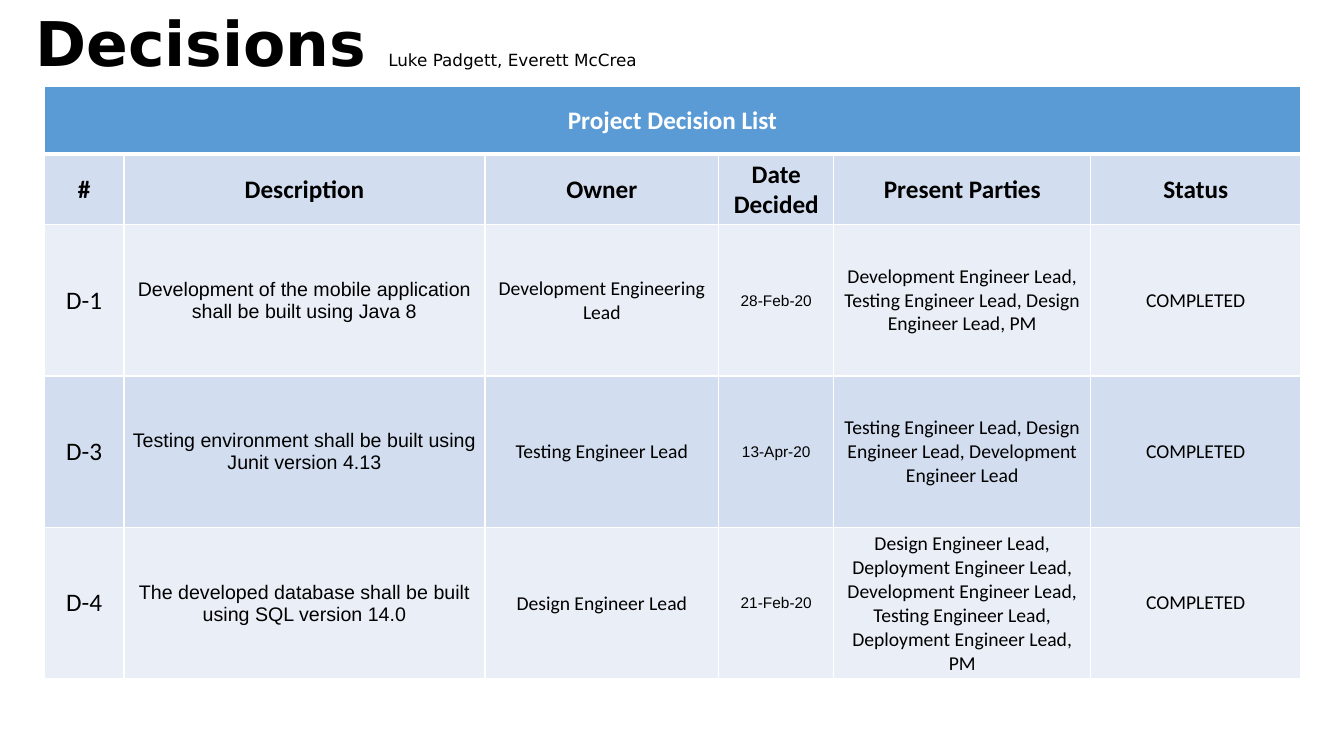
from typing import NamedTuple

from lxml.etree import SubElement
from pptx import Presentation
from pptx.dml.color import RGBColor
from pptx.enum.text import MSO_ANCHOR as Anchor, MSO_AUTO_SIZE as AutoSize, PP_ALIGN as Align
from pptx.oxml.ns import qn
from pptx.slide import Slide
from pptx.table import _Cell as Cell
from pptx.text.text import Font
from pptx.util import Inches, Pt

BLACK = RGBColor(0x00, 0x00, 0x00)
WHITE = RGBColor(0xFF, 0xFF, 0xFF)
BLUE = RGBColor(0x5B, 0x9B, 0xD5)
BAND_DARK = RGBColor(0xD2, 0xDE, 0xEF)
BAND_LIGHT = RGBColor(0xEA, 0xEF, 0xF7)


class Column(NamedTuple):
    heading: str
    width: float
    size: int
    font: str = "Calibri"
    tight: bool = False


class Decision(NamedTuple):
    number: str
    description: str
    owner: str
    date: str
    parties: str
    status: str = "COMPLETED"


COLUMNS = [
    Column("#", 0.79, 18),
    Column("Description", 3.58, 14, "Arial", tight=True),
    Column("Owner", 2.32, 14, tight=True),
    Column("Date Decided", 1.14, 11, "Arial", tight=True),
    Column("Present Parties", 2.55, 14),
    Column("Status", 2.08, 14),
]
DECISIONS = [
    Decision("D-1", "Development of the mobile application shall be built using Java 8",
             "Development Engineering Lead", "28-Feb-20",
             "Development Engineer Lead, Testing Engineer Lead, Design Engineer Lead, PM"),
    Decision("D-3", "Testing environment shall be built using Junit version 4.13",
             "Testing Engineer Lead", "13-Apr-20",
             "Testing Engineer Lead, Design Engineer Lead, Development Engineer Lead"),
    Decision("D-4", "The developed database shall be built using SQL version 14.0",
             "Design Engineer Lead", "21-Feb-20",
             "Design Engineer Lead, Deployment Engineer Lead, Development Engineer Lead, "
             "Testing Engineer Lead, Deployment Engineer Lead, PM"),
]
ROW_HEIGHTS = [0.67, 0.69] + [1.5] * len(DECISIONS)


def style_font(font: Font, name: str, size: int, color: RGBColor, bold: bool) -> None:
    font.name, font.size, font.bold = name, Pt(size), bold
    font.color.rgb = color


def add_borders(cell: Cell, top: int = 1, bottom: int = 1) -> None:
    """Draw white cell borders, with widths in points."""
    tc_pr = cell._tc.get_or_add_tcPr()
    for tag, width in (("lnL", 1), ("lnR", 1), ("lnT", top), ("lnB", bottom)):
        ln = SubElement(tc_pr, qn(f"a:{tag}"), w=str(Pt(width)))
        fill = SubElement(ln, qn("a:solidFill"))
        SubElement(fill, qn("a:srgbClr"), val=str(WHITE))


def fill_cell(cell: Cell, text: str, fill: RGBColor, size: int = 18, font: str = "Calibri",
              color: RGBColor = BLACK, bold: bool = False, tight: bool = False) -> None:
    cell.fill.solid()
    cell.fill.fore_color.rgb = fill
    cell.vertical_anchor = Anchor.MIDDLE
    if tight:
        cell.margin_left = cell.margin_right = cell.margin_top = Inches(0.01)
        cell.margin_bottom = 0
    p = cell.text_frame.paragraphs[0]
    p.text = text
    p.alignment = Align.CENTER
    for r in p.runs:
        style_font(r.font, font, size, color, bold)


def add_title(s: Slide) -> None:
    title = s.shapes.title
    title.left, title.top = Inches(0.25), Inches(0)
    title.width, title.height = Inches(11.17), Inches(0.84)
    tf = title.text_frame
    tf.word_wrap = True
    tf.auto_size = AutoSize.SHAPE_TO_FIT_TEXT
    tf.vertical_anchor = Anchor.TOP
    p = tf.paragraphs[0]
    p.alignment = Align.LEFT
    for text, size, bold in (("Decisions ", 44, True), ("Luke Padgett, Everett McCrea", 12, False)):
        r = p.add_run()
        r.text = text
        style_font(r.font, "DejaVu Sans", size, BLACK, bold)


def add_decision_table(s: Slide) -> None:
    table = s.shapes.add_table(len(ROW_HEIGHTS), len(COLUMNS), Inches(0.44), Inches(0.86),
                               Inches(12.45), Inches(5.86)).table
    for table_column, column in zip(table.columns, COLUMNS):
        table_column.width = Inches(column.width)
    for i, (row, height) in enumerate(zip(table.rows, ROW_HEIGHTS)):
        row.height = Inches(height)
        for cell in row.cells:
            add_borders(cell, top=3 if i == 1 else 1, bottom=3 if i == 0 else 1)

    banner = table.cell(0, 0)
    banner.merge(table.cell(0, len(COLUMNS) - 1))
    fill_cell(banner, "Project Decision List", BLUE, color=WHITE, bold=True)
    for j, column in enumerate(COLUMNS):
        fill_cell(table.cell(1, j), column.heading, BAND_DARK, bold=True)
        for i, decision in enumerate(DECISIONS):
            fill_cell(table.cell(i + 2, j), decision[j], BAND_DARK if i % 2 else BAND_LIGHT,
                      column.size, column.font, tight=column.tight)


def main() -> None:
    prs = Presentation()
    prs.slide_width, prs.slide_height = Inches(13.33), Inches(7.5)
    s = prs.slides.add_slide(prs.slide_layouts[5])
    add_title(s)
    add_decision_table(s)
    prs.save("out.pptx")


if __name__ == "__main__":
    main()
